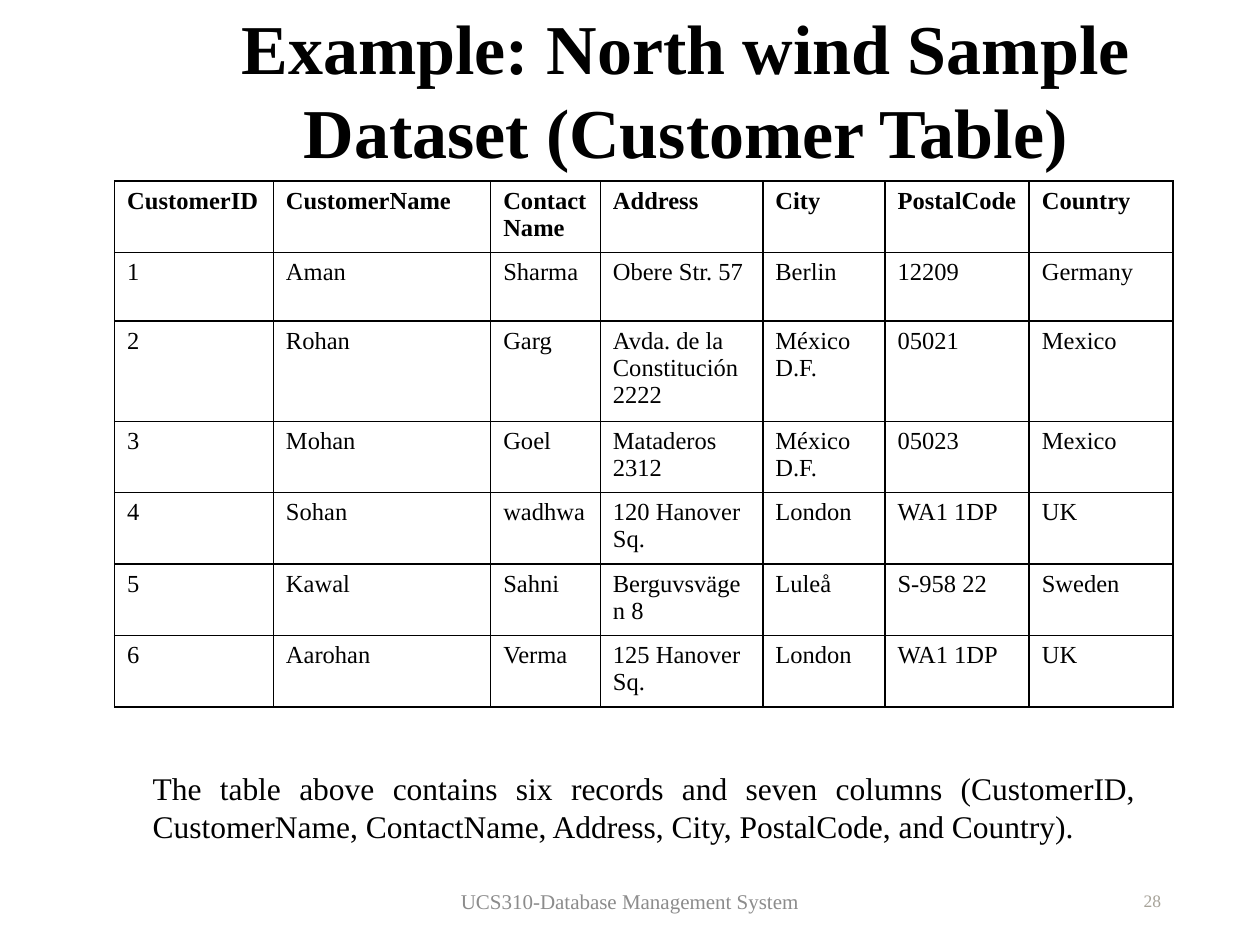
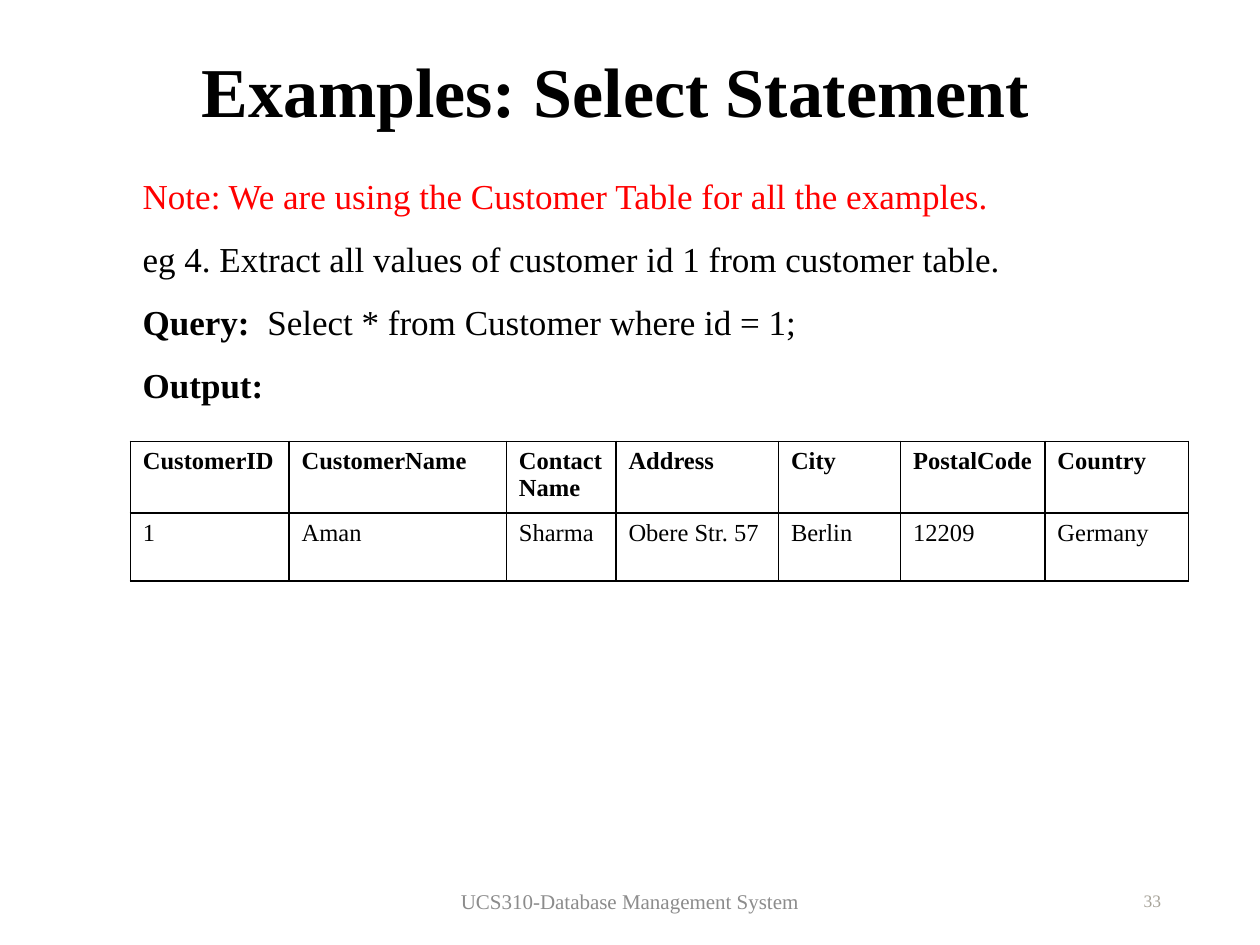
from dataclasses import dataclass, field
from typing import Any

from lxml import etree
from pptx import Presentation
from pptx import util as u
from pptx.dml import color
from pptx.enum import text
from pptx.oxml import ns

# Shared look
HUES = {"ink": "000000", "paper": "FFFFFF", "note": "FF0000",
        "foot": "8C8C8C", "page": "A7A399"}
FACE = "Times New Roman"
WIDE, HIGH = u.Inches(10), u.Inches(7.5)
COLS, ROWS = 100, 75  # grid of the slide
ALIGN, MID = text.PP_ALIGN, text.MSO_ANCHOR.MIDDLE
HEAD = {"size": 40, "bold": True}
FOOT = "UCS310-Database Management System"


@dataclass
class Box:
    """Place on the grid: columns across, rows down."""
    x: float
    y: float
    w: float
    h: float

    def emu(self) -> dict[str, int]:
        return {"left": across(self.x), "top": down(self.y),
                "width": across(self.w), "height": down(self.h)}


@dataclass
class Run:
    words: str
    form: dict[str, Any] = field(default_factory=dict)


def across(n: float) -> int:
    return round(WIDE * n / COLS)


def down(n: float) -> int:
    return round(HIGH * n / ROWS)


def rgb(hue: str) -> color.RGBColor:
    return color.RGBColor.from_string(HUES[hue])


def apply(item: Any, form: dict[str, Any]) -> None:
    for key, val in form.items():
        setattr(item, key, val)


def paint(fill: Any, hue: str) -> None:
    fill.solid()
    fill.fore_color.rgb = rgb(hue)


# Text
def style(font: Any, form: dict[str, Any]) -> None:
    full = {"name": FACE, "size": 18, "bold": False, "hue": "ink"} | form
    hue = full.pop("hue")
    full["size"] = u.Pt(full["size"])
    apply(font, full)
    font.color.rgb = rgb(hue)


def write(frame: Any, paras: list[list[Run]], form: dict[str, Any]) -> None:
    for i, runs in enumerate(paras):
        para = frame.add_paragraph() if i else frame.paragraphs[0]
        apply(para, form)
        for run in runs:
            part = para.add_run()
            part.text = run.words
            style(part.font, run.form)


def label(slide: Any, box: Box, paras: list[list[Run]],
          form: dict[str, Any], anchor: Any = text.MSO_ANCHOR.TOP) -> None:
    frame = slide.shapes.add_textbox(**box.emu()).text_frame
    apply(frame, {"word_wrap": True, "vertical_anchor": anchor})
    write(frame, paras, form)


def title(slide: Any, box: Box, words: str, form: dict[str, Any],
          anchor: Any) -> Any:
    shape = slide.shapes.title
    apply(shape, box.emu())
    apply(shape.text_frame, {"word_wrap": True, "vertical_anchor": anchor,
                             "auto_size": text.MSO_AUTO_SIZE.NONE})
    write(shape.text_frame, [[Run(words, HEAD)]], form)
    return shape


def footer(slide: Any, page: int) -> None:
    label(slide, Box(70.63, 69.5, 22.5, 4),
          [[Run(str(page), {"size": 10, "hue": "page"})]],
          {"alignment": ALIGN.RIGHT}, MID)
    label(slide, Box(33.1, 69.5, 33.8, 4),
          [[Run(FOOT, {"size": 12, "hue": "foot"})]],
          {"alignment": ALIGN.CENTER}, MID)


# Customer table
SPANS = [12.6, 17.25, 8.7, 12.9, 9.7, 11.45, 11.4]
FIELDS = ["CustomerID", "CustomerName", "ContactName", "Address", "City",
          "PostalCode", "Country"]
PEOPLE = [
    ["1", "Aman", "Sharma", "Obere Str. 57", "Berlin", "12209", "Germany"],
    ["2", "Rohan", "Garg", "Avda. de la Constitución 2222", "México D.F.",
     "05021", "Mexico"],
    ["3", "Mohan", "Goel", "Mataderos 2312", "México D.F.", "05023", "Mexico"],
    ["4", "Sohan", "wadhwa", "120 Hanover Sq.", "London", "WA1 1DP", "UK"],
    ["5", "Kawal", "Sahni", "Berguvsvägen 8", "Luleå", "S-958 22", "Sweden"],
    ["6", "Aarohan", "Verma", "125 Hanover Sq.", "London", "WA1 1DP", "UK"],
]
TALL = 5.67  # usual row height
SPECIAL = {1: 5.42, 2: 7.97}


def border(cell: Any) -> None:
    props = cell._tc.get_or_add_tcPr()
    for i, side in enumerate(("lnL", "lnR", "lnT", "lnB")):
        line = etree.Element(ns.qn(f"a:{side}"), w=str(u.Pt(1)))
        fill = etree.SubElement(line, ns.qn("a:solidFill"))
        etree.SubElement(fill, ns.qn("a:srgbClr"), val=HUES["ink"])
        props.insert(i, line)


def grid(slide: Any, x: float, y: float, people: list[list[str]]) -> None:
    data = [FIELDS, *people]
    highs = [SPECIAL.get(i, TALL) for i in range(len(data))]
    box = Box(x, y, sum(SPANS), sum(highs))
    table = slide.shapes.add_table(len(data), len(SPANS), **box.emu()).table
    apply(table, {"first_row": False, "horz_banding": False})
    for col, span in zip(table.columns, SPANS):
        col.width = across(span)
    for i, (row, high) in enumerate(zip(table.rows, highs)):
        row.height = down(high)
        for cell, words in zip(row.cells, data[i]):
            cell.fill.background()
            border(cell)
            write(cell.text_frame,
                  [[Run(words, {"size": 14, "bold": i == 0})]], {})


# Slides
def records(slide: Any) -> None:
    head = title(slide, Box(11.92, 1.7, 85, 12.5),
                 "Example: North wind Sample Dataset (Customer Table)",
                 {"alignment": ALIGN.CENTER}, text.MSO_ANCHOR.BOTTOM)
    paint(head.fill, "paper")
    paint(head.line.fill, "paper")
    head.line.width = u.Pt(1)
    grid(slide, 9.1, 14.38, PEOPLE)
    label(slide, Box(11.13, 60.55, 80, 7.1),
          [[Run("The table above contains six records and seven columns "
                "(CustomerID, CustomerName, ContactName, Address, City, "
                "PostalCode, and Country).")]],
          {"alignment": ALIGN.JUSTIFY})


def select(slide: Any) -> None:
    title(slide, Box(15, 3.35, 85, 8.3), "Examples: Select Statement",
          {"alignment": ALIGN.LEFT, "line_spacing": 0.9}, MID)
    base = {"size": 20}
    bold = base | {"bold": True}
    label(slide, Box(10.34, 11.7, 82.8, 27.9), [
        [Run("Note: We are using the Customer Table for all the examples.",
             base | {"hue": "note"})],
        [Run("eg 4. Extract all values of customer id 1 from customer table.",
             base)],
        [Run("Query:  ", bold),
         Run("Select * from Customer where id = 1;", base)],
        [Run("Output:", bold)],
    ], {"line_spacing": 1.5})
    grid(slide, 10.34, 35.03, PEOPLE[:1])


def main() -> None:
    deck = Presentation()
    apply(deck, {"slide_width": WIDE, "slide_height": HIGH})
    for draw, page in ((records, 28), (select, 33)):
        slide = deck.slides.add_slide(deck.slide_layouts[5])
        paint(slide.background.fill, "paper")
        draw(slide)
        footer(slide, page)
    deck.save("out.pptx")


if __name__ == "__main__":
    main()
